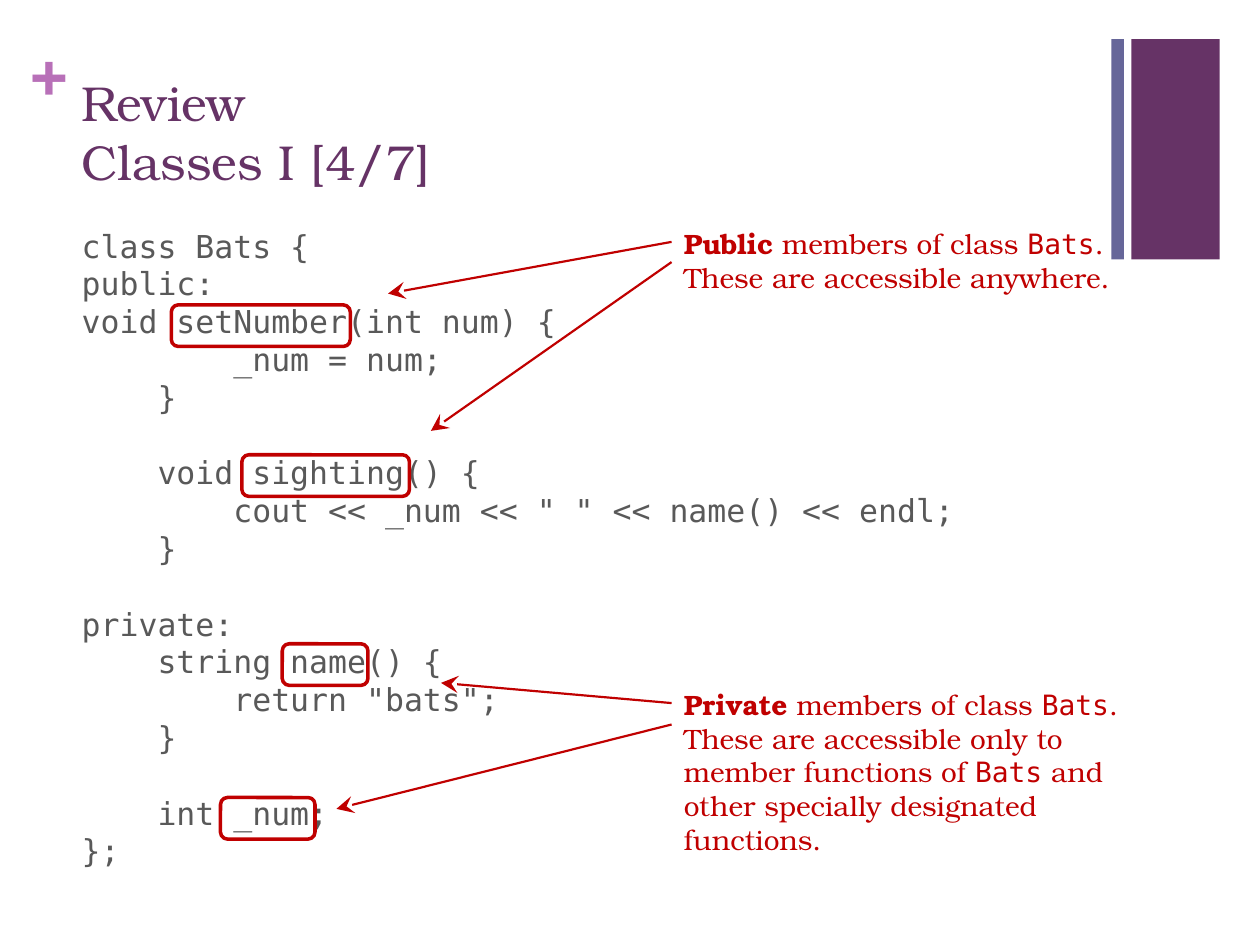
from dataclasses import dataclass

from lxml.etree import SubElement
from pptx import Presentation
from pptx.dml.color import RGBColor
from pptx.enum.shapes import MSO_CONNECTOR, MSO_SHAPE
from pptx.enum.text import MSO_ANCHOR
from pptx.oxml.ns import qn
from pptx.util import Inches, Pt

SERIF = "TeX Gyre Bonum"
MONO = "DejaVu Sans Mono"
COLORS = {
    "purple": "663366",
    "slate": "666699",
    "orchid": "B870B8",
    "code": "595959",
    "red": "C00000",
}
CODE = """class Bats {
public:
void setNumber(int num) {
        _num = num;
    }

    void sighting() {
        cout << _num << " " << name() << endl;
    }

private:
    string name() {
        return "bats";
    }

    int _num;
};"""


@dataclass
class Box:
    left: float
    top: float
    width: float
    height: float

    def lengths(self) -> tuple:
        return tuple(Inches(v) for v in (self.left, self.top, self.width, self.height))


@dataclass
class Style:
    font: str
    size: float
    color: str
    bold: bool = False


@dataclass
class Note:
    box: Box
    heading: str
    pieces: list[str]  # plain text and code names take turns


@dataclass
class Arrow:
    start: tuple[float, float]
    end: tuple[float, float]


def rgb(name: str) -> RGBColor:
    return RGBColor.from_string(COLORS[name])


def add_text(slide, box: Box, text: str, style: Style, inset: bool = True):
    """Add a wrapping text box and return its first paragraph."""
    frame = slide.shapes.add_textbox(*box.lengths()).text_frame
    frame.word_wrap = True
    frame.vertical_anchor = MSO_ANCHOR.TOP
    if not inset:
        frame.margin_left = frame.margin_right = 0
        frame.margin_top = frame.margin_bottom = 0
    paragraph = frame.paragraphs[0]
    paragraph.text = text
    paragraph.font.name = style.font
    paragraph.font.size = Pt(style.size)
    paragraph.font.bold = style.bold
    paragraph.font.color.rgb = rgb(style.color)
    return paragraph


def add_note(slide, note: Note) -> None:
    paragraph = add_text(slide, note.box, note.heading, Style(SERIF, 16, "red"))
    paragraph.runs[0].font.bold = True
    for index, piece in enumerate(note.pieces):
        run = paragraph.add_run()
        run.text = piece
        if index % 2:
            run.font.name = MONO


def add_bar(slide, box: Box, color: str) -> None:
    shape = slide.shapes.add_shape(MSO_SHAPE.RECTANGLE, *box.lengths())
    shape.shadow.inherit = False
    shape.fill.solid()
    shape.fill.fore_color.rgb = rgb(color)
    shape.line.fill.background()


def add_frame(slide, box: Box) -> None:
    shape = slide.shapes.add_shape(MSO_SHAPE.ROUNDED_RECTANGLE, *box.lengths())
    shape.shadow.inherit = False
    shape.fill.background()
    shape.line.color.rgb = rgb("red")
    shape.line.width = Pt(2)


def add_arrow(slide, arrow: Arrow) -> None:
    ends = [Inches(v) for v in (*arrow.start, *arrow.end)]
    connector = slide.shapes.add_connector(MSO_CONNECTOR.STRAIGHT, *ends)
    connector.line.color.rgb = rgb("red")
    connector.line.width = Pt(1.25)
    properties = connector._element.spPr
    SubElement(properties.find(qn("a:ln")), qn("a:tailEnd"),
               type="stealth", w="lg", len="lg")
    SubElement(properties, qn("a:effectLst"))


NOTES = [
    Note(Box(5.33, 1.75, 3.6, 0.64), "Public",
         [" members of class ", "Bats", ". These are accessible anywhere."]),
    Note(Box(5.33, 5.41, 3.98, 1.18), "Private",
         [" members of class ", "Bats",
          ". These are accessible only to member functions of ", "Bats",
          " and other specially designated functions."]),
]
ARROWS = [
    Arrow((5.33, 1.92), (3.08, 2.33)),
    Arrow((5.33, 2.08), (3.42, 3.42)),
    Arrow((5.33, 5.58), (3.5, 5.42)),
    Arrow((5.33, 5.75), (2.67, 6.42)),
]
MEMBER_FRAMES = [
    Box(1.36, 2.42, 1.42, 0.33),
    Box(1.92, 3.61, 1.33, 0.33),
    Box(2.24, 5.11, 0.68, 0.33),
    Box(1.75, 6.33, 0.75, 0.33),
]


def main() -> None:
    presentation = Presentation()
    presentation.slide_width = Inches(10)
    presentation.slide_height = Inches(7.5)
    slide = presentation.slides.add_slide(presentation.slide_layouts[6])

    # Corner decoration
    add_bar(slide, Box(8.98, 0.31, 0.7, 1.75), "purple")
    add_bar(slide, Box(8.82, 0.31, 0.1, 1.75), "slate")
    add_text(slide, Box(0.24, 0.25, 0.29, 0.61), "+",
             Style(SERIF, 36, "orchid", bold=True), inset=False)

    # Title and code
    add_text(slide, Box(0.55, 0.53, 8.26, 1.05), "Review\nClasses I [4/7]",
             Style(SERIF, 28, "purple"))
    add_text(slide, Box(0.55, 1.75, 8.26, 5.17), CODE, Style(MONO, 18, "code"))

    # Notes, with arrows to the framed members
    for note in NOTES:
        add_note(slide, note)
    for arrow in ARROWS:
        add_arrow(slide, arrow)
    for box in MEMBER_FRAMES:
        add_frame(slide, box)

    presentation.save("out.pptx")


if __name__ == "__main__":
    main()
